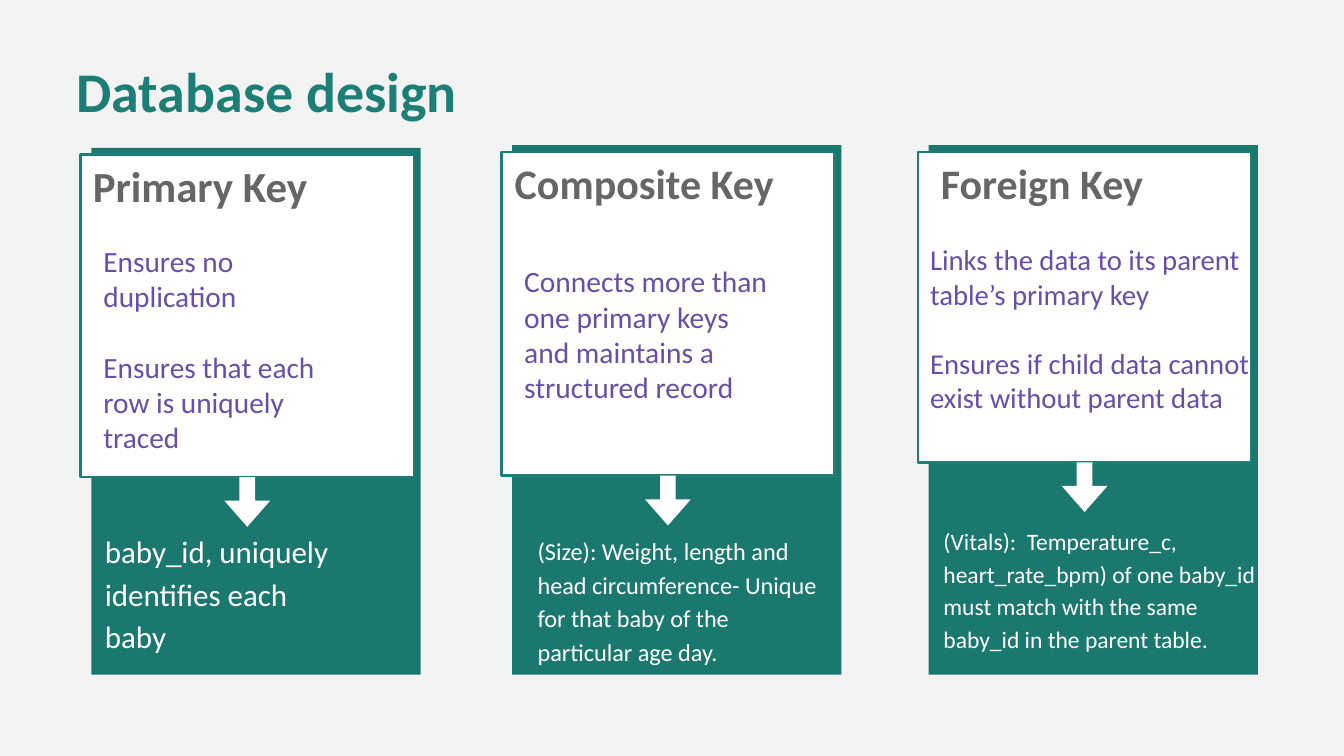
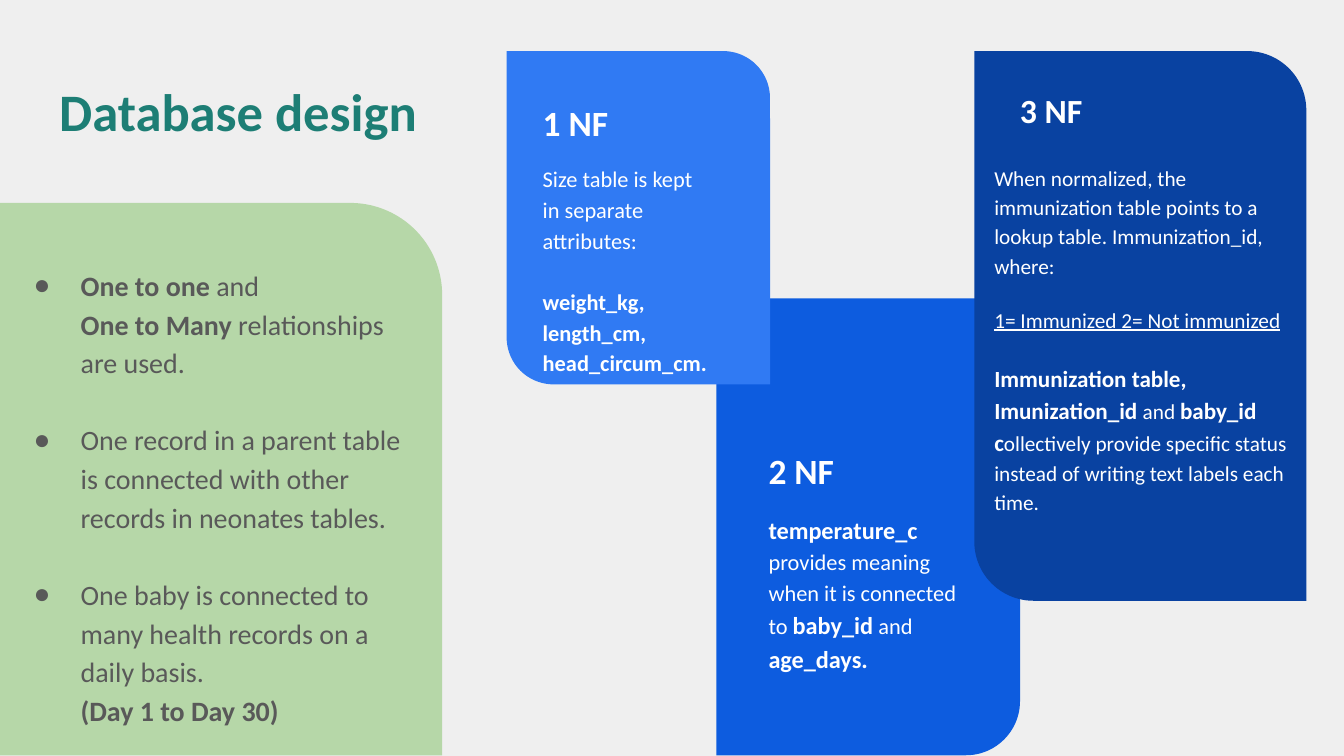
"""Build two slides on database keys and normal forms."""
import pptx
import pptx.util
import pptx.dml.color
import pptx.enum.shapes
import pptx.enum.text
from dataclasses import dataclass
from lxml import etree

Inches, Pt = pptx.util.Inches, pptx.util.Pt
Color = pptx.dml.color.RGBColor.from_string
Kind = pptx.enum.shapes.MSO_SHAPE
TEXT = pptx.enum.text


@dataclass(frozen=True)
class Theme:
    font: str = "Calibri"
    title: str = "1D7E75"
    panel: str = "1B786F"
    white: str = "FFFFFF"
    head: str = "666666"
    note: str = "674EA7"
    list: str = "595959"
    green: str = "B6D7A8"
    blues: tuple = ("307AF3", "0D5CDF", "0942A1")
    grounds: tuple = ("F3F3F3", "EFEFEF")
    titles: tuple = (30, 28.2)
    item: float = 15
    loose: float = 1.15


THEME = Theme()
TITLE = "Database design"
TITLE_AT = [(0.47, 0.32, 4.32, 0.46), (0.34, 0.49, 9.32, 0.63)]

KEYS = [
    dict(left=0.68, top=1.1, card=2.4,
         head=("Primary Key", 23, (0.6, 1.1, 2.38, 0.73)),
         notes=(["Ensures no duplication",
                 "Ensures that each row is uniquely traced"],
                15.7, (0.68, 1.72, 2, 1.73)),
         foot=("baby_id, uniquely identifies each baby",
               16.6, (0.69, 3.83, 1.98, 1.04))),
    dict(left=3.81, top=1.08, card=2.41,
         head=("Composite Key", 22.5, (3.74, 1.08, 2.9, 0.73)),
         notes=(["Connects more than one primary keys and maintains "
                 "a structured record"],
                15.8, (3.81, 1.87, 2.01, 1.26)),
         foot=("(Size): Weight, length and head circumference- Unique "
               "for that baby of the particular age day.",
               13, (3.91, 3.87, 2.28, 1.15))),
    dict(left=6.91, top=1.08, card=2.31,
         head=("Foreign Key", 22.5, (6.91, 1.08, 2.39, 0.7)),
         notes=(["Links the data to its parent table’s primary key",
                 "Ensures if child data cannot exist without parent data"],
                15.4, (6.83, 1.71, 2.61, 1.9)),
         foot=("(Vitals):  Temperature_c, heart_rate_bpm) of one baby_id "
               "must match with the same baby_id in the parent table.",
               12.6, (6.93, 3.8, 2.5, 1.25))),
]

LINKS = [
    "*One to one* and\v*One to Many* relationships are used.",
    "One record in a parent table is connected with other records "
    "in neonates tables.",
    "One baby is connected to many health records on a daily basis.",
]
SPAN = "*(Day 1 to Day 30)*"

FORMS = [
    dict(tint=1, at=(5.33, 2.22, 2.26, 3.4), bend=(0.178, 0),
         head=("2 NF", 19, (5.62, 3.24, 1.68, 0.5)),
         body=(5.62, 3.7, 1.68, 1.58), sizes=(12, 13), gap=0,
         text=["*temperature_c *provides meaning when it is connected to "
               "*baby_id *and *age_days.*"]),
    dict(tint=0, at=(3.77, 0.38, 1.96, 2.48), bend=(0, 0.178),
         head=("1 NF", 19, (3.94, 0.65, 1.47, 0.4)),
         body=(3.94, 1.1, 1.47, 1.7), sizes=(12, 12), gap=16,
         text=["Size table is kept in separate attributes:",
               "*weight_kg, length_cm, head_circum_cm.*"]),
    dict(tint=2, at=(7.25, 0.38, 2.47, 4.09), bend=(0, 0.178),
         head=("3 NF", 18.1, (7.49, 0.57, 1.99, 0.61)),
         body=(7.3, 1.1, 2.47, 3), sizes=(11.4, 12.4), gap=15.2,
         text=["When normalized, the immunization table points to a lookup "
               "table. Immunization_id, where:",
               "_1= Immunized 2= Not immunized",
               "*Immunization table, Imunization_id *and *baby_id c*"
               "ollectively provide specific status instead of writing "
               "text labels each time."]),
]


def place(shape, at):
    """Move and size a shape in inches."""
    shape.left, shape.top, shape.width, shape.height = map(Inches, at)


def block(slide, kind, at, fill, line=None, bend=()):
    """Add a flat filled shape."""
    shape = slide.shapes.add_shape(kind, *map(Inches, at))
    shape.shadow.inherit = False
    shape.fill.solid()
    shape.fill.fore_color.rgb = Color(fill)
    if line:
        shape.line.color.rgb = Color(line)
        shape.line.width = Pt(1.4)
    else:
        shape.line.fill.background()
    for i, value in enumerate(bend):
        shape.adjustments[i] = value
    return shape


def mark(para, dot):
    """Give a list paragraph its indent and bullet."""
    props = para._p.get_or_add_pPr()
    props.set("marL", str(Inches(0.5)))
    props.set("indent", str(Inches(-0.35) if dot else 0))
    space = "{http://schemas.openxmlformats.org/drawingml/2006/main}"
    if dot:
        tint = etree.SubElement(props, space + "buClr")
        etree.SubElement(tint, space + "srgbClr", val=THEME.list)
        etree.SubElement(props, space + "buChar", char="●")
    else:
        etree.SubElement(props, space + "buNone")


def write(para, text, sizes, color, bold=False):
    """Fill a paragraph; stars set bold and a first underscore underlines."""
    parts = [(t, i % 2 == 1) for i, t in
             enumerate(text.removeprefix("_").split("*")) if t]
    whole = all(strong for _, strong in parts)
    font = para.font
    font.name, font.color.rgb = THEME.font, Color(color)
    font.size = Pt(sizes[whole])
    font.bold = bold or whole
    if text.startswith("_"):
        font.underline = True
    for part, strong in parts:
        for i, piece in enumerate(part.split("\v")):
            if i:
                para.add_line_break()
            if piece:
                run = para.add_run()
                run.text = piece
                if strong and not whole:
                    run.font.bold, run.font.size = True, Pt(sizes[1])


def setup(shape, at, inset=0.1):
    """Place a text shape and set its frame."""
    place(shape, at)
    frame = shape.text_frame
    frame.word_wrap = True
    frame.auto_size = TEXT.MSO_AUTO_SIZE.NONE
    frame.vertical_anchor = TEXT.MSO_ANCHOR.TOP
    frame.margin_left = frame.margin_right = Inches(inset)
    frame.margin_top = frame.margin_bottom = Inches(inset)
    return frame


def lines(frame, texts, gap=0, loose=None):
    """Yield each text with its new left-aligned paragraph."""
    for i, text in enumerate(texts):
        para = frame.add_paragraph() if i else frame.paragraphs[0]
        para.alignment = TEXT.PP_ALIGN.LEFT
        para.space_before = Pt(gap if i else 0)
        if loose and not text.startswith("_"):
            para.line_spacing = loose
        yield para, text


def label(slide, texts, sizes, at, color, bold=False, gap=0, loose=None,
          inset=0.1):
    """Add a text box."""
    frame = setup(slide.shapes.add_textbox(0, 0, 0, 0), at, inset)
    for para, text in lines(frame, texts, gap, loose):
        write(para, text, sizes, color, bold)


def start(deck, index, layout):
    """Add a slide with its ground and title."""
    slide = deck.slides.add_slide(deck.slide_layouts[layout])
    slide.background.fill.solid()
    slide.background.fill.fore_color.rgb = Color(THEME.grounds[index])
    frame = setup(slide.shapes.title, TITLE_AT[index])
    for para, text in lines(frame, [TITLE]):
        write(para, text, (THEME.titles[index],) * 2, THEME.title, True)
    return slide


def keys(deck):
    """Draw the three key columns."""
    slide = start(deck, 0, 5)
    for key in KEYS:
        x, y, tall = key["left"], key["top"], key["card"]
        block(slide, Kind.RECTANGLE, (x, y, 2.45, 5.02 - y), THEME.panel)
        block(slide, Kind.RECTANGLE, (x - 0.08, y + 0.05, 2.48, tall),
              THEME.white, THEME.title)
        block(slide, Kind.DOWN_ARROW, (x + 0.99, y + 0.05 + tall, 0.34, 0.37),
              THEME.white, bend=(0.342, 0.57))
        text, size, at = key["head"]
        label(slide, [text], (size, size), at, THEME.head, True, inset=0.09)
        texts, size, at = key["notes"]
        label(slide, texts, (size, size), at, THEME.note, gap=size * 1.2,
              inset=0.09)
        text, size, at = key["foot"]
        label(slide, [text], (size, size), at, THEME.white,
              loose=THEME.loose, inset=0.09)


def forms(deck):
    """Draw the link list and the three normal forms."""
    slide = start(deck, 1, 1)
    panel = block(slide, Kind.ROUND_1_RECTANGLE, (0, 1.51, 3.29, 4.11),
                  THEME.green, bend=(0.208,))
    slide.shapes._spTree.insert(2, panel._element)
    frame = setup(slide.placeholders[1], (0, 1.86, 3.09, 3.7))
    gap = THEME.item * 1.2 * THEME.loose
    for para, text in lines(frame, LINKS + [SPAN], gap, THEME.loose):
        if text == SPAN:
            para.space_before = Pt(0)
        mark(para, text != SPAN)
        write(para, text, (THEME.item,) * 2, THEME.list)
    for form in FORMS:
        block(slide, Kind.ROUND_2_DIAG_RECTANGLE, form["at"],
              THEME.blues[form["tint"]], bend=form["bend"])
        text, size, at = form["head"]
        label(slide, [text], (size, size), at, THEME.white, True)
        label(slide, form["text"], form["sizes"], form["body"], THEME.white,
              gap=form["gap"], loose=THEME.loose)


def main():
    """Build and save the deck."""
    deck = pptx.Presentation()
    deck.slide_width = Inches(10)
    deck.slide_height = Inches(10 * 9 / 16)
    keys(deck)
    forms(deck)
    deck.save("out.pptx")


if __name__ == "__main__":
    main()
